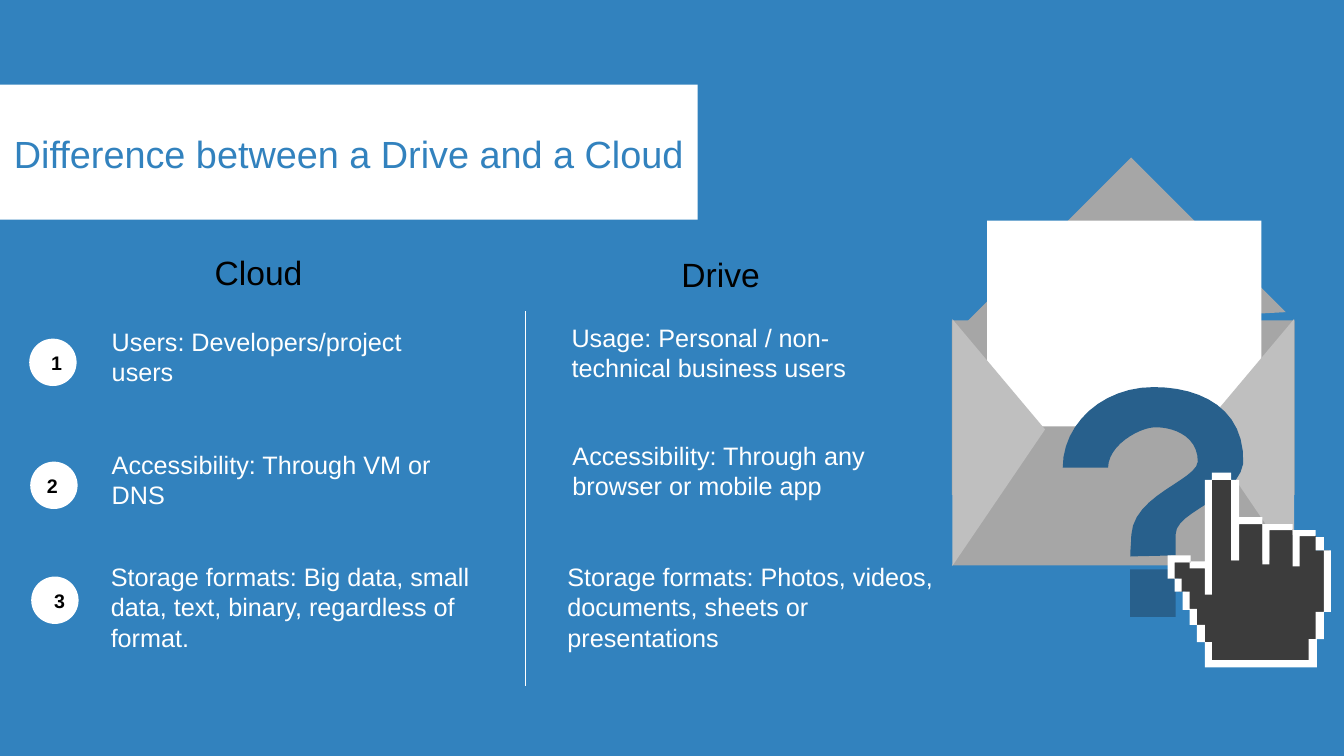
from dataclasses import dataclass
from itertools import chain

from lxml import etree
from pptx import Presentation
from pptx import util as u
from pptx.dml.color import RGBColor
from pptx.enum import shapes, text
from pptx.oxml.ns import qn

# The slide is a grid of square cells.
COLUMNS, ROWS = 13.33, 7.5
CELL = u.Inches(1)
KIND = shapes.MSO_SHAPE


@dataclass(frozen=True)
class Theme:
    font: str = "Arial"
    blue: str = "3282BE"
    deep_blue: str = "28608C"
    white: str = "FFFFFF"
    black: str = "000000"
    grey: str = "A6A6A6"
    light_grey: str = "BFBFBF"
    charcoal: str = "3C3C3C"
    title: float = 27
    heading: float = 24
    body: float = 18
    number: float = 14


THEME = Theme()

HEADINGS = [("Cloud", 2.03, 2.45, 1.08), ("Drive", 6.66, 2.47, 0.99)]
POINTS = [
    ("Users: Developers/project users", 1.01, 3.19, 3.61),
    ("Accessibility: Through VM or DNS", 1.01, 4.41, 3.61),
    ("Storage formats: Big data, small data, text, binary, "
     "regardless of format.", 1, 5.52, 4.19),
    ("Usage: Personal / non-technical business users", 5.57, 3.15, 3.32),
    ("Accessibility: Through any browser or mobile app", 5.58, 4.32, 3.83),
    ("Storage formats: Photos, videos, documents, sheets or presentations",
     5.53, 5.52, 3.9),
]
# Number, disc left and top, label centre
BADGES = [("1", 0.29, 3.36, 0.56), ("2", 0.3, 4.58, 0.52), ("3", 0.31, 5.72, 0.59)]

# Two points make a line, four a Bézier curve.
QUESTION_HOOK = [
    [(11.44, 3.84), (11.92, 3.84), (12.35, 4.06), (12.33, 4.6)],
    [(12.33, 4.6), (12.27, 4.95), (11.66, 5.07), (11.66, 5.3)],
    [(11.66, 5.3), (11.66, 5.51)],
    [(11.66, 5.51), (11.21, 5.52)],
    [(11.21, 5.52), (11.21, 5.45), (11.22, 5.38), (11.22, 5.31)],
    [(11.22, 5.31), (11.24, 4.91), (11.86, 4.77), (11.88, 4.58)],
    [(11.88, 4.58), (11.88, 4.3), (11.59, 4.23), (11.44, 4.24)],
    [(11.44, 4.24), (11.29, 4.25), (10.99, 4.42), (10.99, 4.64)],
    [(10.99, 4.64), (10.54, 4.64)],
    [(10.54, 4.64), (10.54, 4.2), (10.94, 3.84), (11.44, 3.84)],
]
HAND = [
    (12.02, 4.76), (12.21, 4.76), (12.21, 5.56), (12.29, 5.56), (12.29, 5.2),
    (12.52, 5.2), (12.52, 5.56), (12.59, 5.56), (12.59, 5.25), (12.82, 5.25),
    (12.82, 5.31), (13.05, 5.31), (13.05, 5.46), (13.18, 5.46), (13.18, 6.07),
    (13.05, 6.07), (13.05, 6.34), (13.02, 6.34), (13.02, 6.56), (11.99, 6.56),
    (11.99, 6.37), (11.94, 6.37), (11.94, 6.2), (11.85, 6.2), (11.85, 6.04),
    (11.76, 6.04), (11.76, 5.87), (11.69, 5.87), (11.69, 5.74), (11.59, 5.74),
    (11.59, 5.58), (11.82, 5.58), (11.82, 5.59), (11.92, 5.59), (11.92, 5.6),
    (11.99, 5.6), (11.99, 5.56), (12.02, 5.56),
]
# Left, top, right, bottom of each bar around the hand
HAND_EDGES = [
    (12.02, 4.69, 12.21, 4.76), (12.21, 4.76, 12.29, 5.56),
    (12.29, 5.13, 12.52, 5.2), (12.52, 5.2, 12.82, 5.26),
    (12.52, 5.26, 12.59, 5.6), (12.82, 5.26, 12.89, 5.62),
    (12.89, 5.26, 13.05, 5.32), (13.05, 5.33, 13.13, 5.46),
    (13.13, 5.46, 13.2, 6.07), (13.05, 6.07, 13.13, 6.34),
    (12.98, 6.34, 13.06, 6.55), (11.95, 6.55, 13.06, 6.62),
    (11.95, 6.37, 12.02, 6.55), (11.87, 6.2, 11.95, 6.37),
    (11.8, 6.04, 11.87, 6.2), (11.73, 5.87, 11.8, 6.05),
    (11.65, 5.74, 11.72, 5.87), (11.58, 5.58, 11.65, 5.74),
    (11.58, 5.51, 11.81, 5.58), (11.8, 5.57, 11.95, 5.64),
    (11.95, 4.76, 12.02, 5.9),
]


def cells(*lengths):
    return [u.Emu(round(n * CELL)) for n in lengths]


def paint(sp, color):
    sp.fill.solid()
    sp.fill.fore_color.rgb = RGBColor.from_string(color)
    sp.line.fill.background()
    sp.shadow.inherit = False


def add_block(parent, kind, box, color, rotation=0, adjust=None):
    sp = parent.add_shape(kind, *cells(*box))
    sp.rotation = rotation
    if adjust is not None:
        sp.adjustments[0] = adjust
    paint(sp, color)


def add_outline(parent, contours, color):
    """Draw closed contours, given in grid cells, as one freeform."""
    builder = None
    for contour in contours:
        start, *rest = [cells(*point) for point in contour]
        if builder is None:
            builder = parent.build_freeform(*start, scale=1.0)
        else:
            builder.move_to(*start)
        builder.add_line_segments(rest, close=True)
    paint(builder.convert_to_shape(), color)


def trace(segment, steps=12):
    """Points along a line or a cubic Bézier curve, without its end."""
    if len(segment) == 2:
        return segment[:1]
    a, b, c, d = segment
    return [tuple((1 - t) ** 3 * a[i] + 3 * (1 - t) ** 2 * t * b[i]
                  + 3 * (1 - t) * t ** 2 * c[i] + t ** 3 * d[i] for i in (0, 1))
            for t in (n / steps for n in range(steps))]


def write(tf, words, size, color, align=text.PP_ALIGN.LEFT, bold=False):
    p = tf.paragraphs[0]
    p.alignment = align
    r = p.add_run()
    r.text = words
    r.font.name, r.font.size, r.font.bold = THEME.font, u.Pt(size), bold
    r.font.color.rgb = RGBColor.from_string(color)
    return p


def add_label(s, words, box, size, color, wrap=True):
    tf = s.shapes.add_textbox(*cells(*box)).text_frame
    tf.word_wrap = wrap
    write(tf, words, size, color)


def add_title(s, words):
    sp = s.shapes.title
    sp.left, sp.top, sp.width, sp.height = cells(0, 0.84, 6.92, 1.34)
    sp.fill.solid()
    sp.fill.fore_color.rgb = RGBColor.from_string(THEME.white)
    tf = sp.text_frame
    tf.auto_size = text.MSO_AUTO_SIZE.NONE
    tf.vertical_anchor = text.MSO_ANCHOR.MIDDLE
    p = write(tf, words, THEME.title, THEME.blue, text.PP_ALIGN.CENTER)
    p.line_spacing = 1.06


def add_badge(s, number, left, top, center):
    disc = 0.47
    add_block(s.shapes, KIND.OVAL, (left, top, disc, disc), THEME.white)
    width, height = 0.22, 0.24
    box = cells(center - width / 2, top + (disc - height) / 2, width, height)
    tf = s.shapes.add_textbox(*box).text_frame
    tf.margin_left = tf.margin_right = tf.margin_top = tf.margin_bottom = 0
    tf.vertical_anchor = text.MSO_ANCHOR.MIDDLE
    write(tf, number, THEME.number, THEME.black, text.PP_ALIGN.CENTER, bold=True)


def add_divider(s, x, top, bottom):
    line = s.shapes.add_connector(shapes.MSO_CONNECTOR.STRAIGHT,
                                  *cells(x, top, x, bottom))
    line.line.color.rgb = RGBColor.from_string(THEME.white)
    line.line.width = u.Pt(0.5)
    etree.SubElement(line._element.spPr, qn("a:effectLst"))


def add_envelope(s):
    g = s.shapes.add_group_shape().shapes
    add_block(g, KIND.RECTANGLE, (9.44, 3.18, 3.4, 1.73), THEME.grey)
    add_block(g, KIND.RIGHT_TRIANGLE, (9.92, 2.1, 2.42, 2.17), THEME.grey, 135)
    add_block(g, KIND.RECTANGLE, (9.79, 2.19, 2.72, 3.37), THEME.white)
    add_block(g, KIND.TRAPEZOID, (9.44, 4.23, 3.43, 1.38), THEME.grey, 0, 0.595)
    for left, rotation, apex in ((8.68, 90, 0.447), (11.15, 270, 0.553)):
        add_block(g, KIND.ISOSCELES_TRIANGLE, (left, 3.93, 2.45, 0.92),
                  THEME.light_grey, rotation, apex)


def add_question_mark(s):
    g = s.shapes.add_group_shape().shapes
    hook = list(chain.from_iterable(trace(part) for part in QUESTION_HOOK))
    add_outline(g, [hook], THEME.deep_blue)
    add_block(g, KIND.RECTANGLE, (11.21, 5.65, 0.45, 0.47), THEME.deep_blue)


def add_hand(s):
    g = s.shapes.add_group_shape().shapes
    add_outline(g, [HAND], THEME.charcoal)
    edges = [[(l, t), (r, t), (r, b), (l, b)] for l, t, r, b in HAND_EDGES]
    add_outline(g, edges, THEME.white)


def main():
    prs = Presentation()
    prs.slide_width, prs.slide_height = cells(COLUMNS, ROWS)
    s = prs.slides.add_slide(prs.slide_layouts.get_by_name("Title Only"))
    s.background.fill.solid()
    s.background.fill.fore_color.rgb = RGBColor.from_string(THEME.blue)
    add_envelope(s)
    add_question_mark(s)
    add_hand(s)
    add_title(s, "Difference between a Drive and a Cloud")
    for badge in BADGES:
        add_badge(s, *badge)
    for words, left, top, width in POINTS:
        add_label(s, words, (left, top, width, 1.01), THEME.body, THEME.white)
    add_divider(s, 5.21, 3.09, 6.81)
    for words, left, top, width in HEADINGS:
        add_label(s, words, (left, top, width, 0.5), THEME.heading, THEME.black, wrap=False)
    prs.save("out.pptx")


if __name__ == "__main__":
    main()
